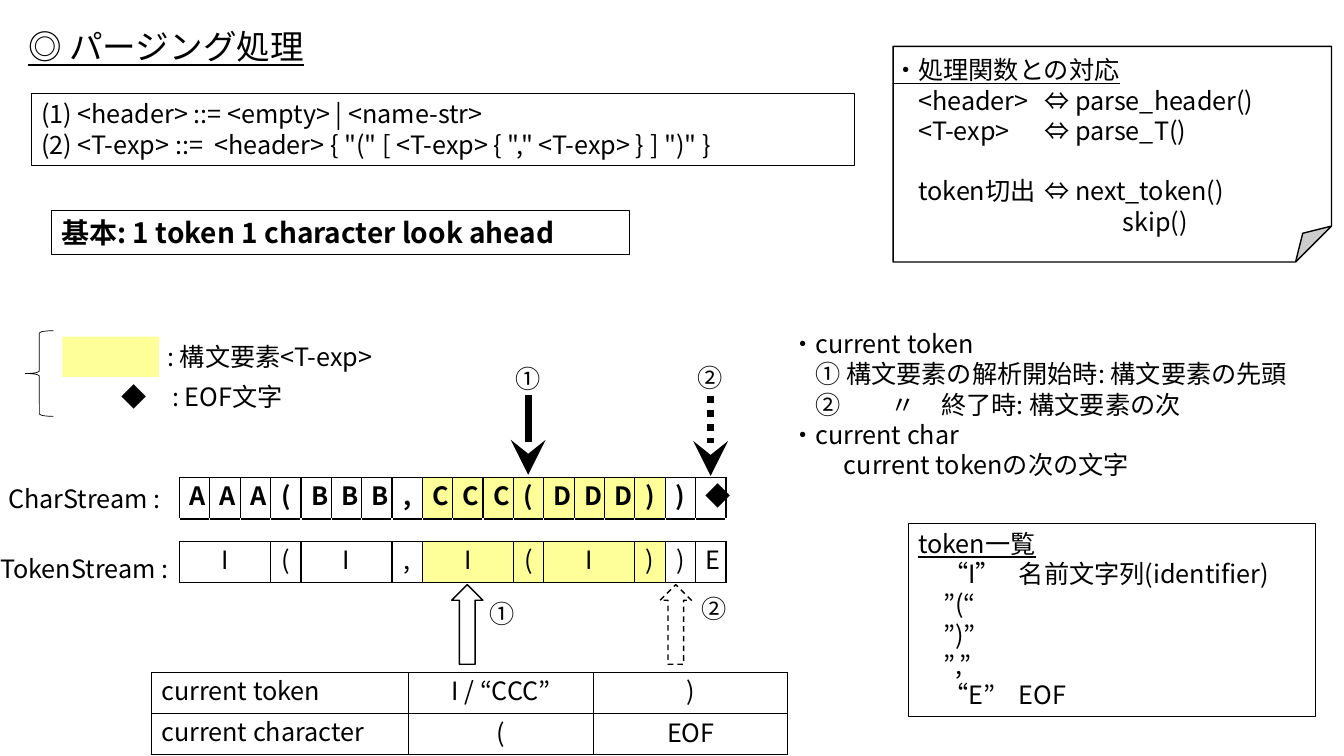
import lxml.etree
import pptx
import pptx.dml.color
import pptx.enum.dml
import pptx.enum.shapes
import pptx.enum.text
import pptx.oxml.ns
import pptx.util

Pt = pptx.util.Pt
qn = pptx.oxml.ns.qn
SHAPE = pptx.enum.shapes.MSO_SHAPE
DASH = pptx.enum.dml.MSO_LINE
ALIGN = pptx.enum.text.PP_ALIGN
ANCHOR = pptx.enum.text.MSO_ANCHOR

FONT = "Noto Sans CJK JP"
COLORS = {"ink": "000000", "paper": "FFFFFF", "t_exp": "FFFF99"}
CELL_W, ROW_H, GAP_H = 21.7, 29.5, 16
CHARS = "AAA(BBB,CCC(DDD))◆"
TOKENS = [("I", 3), ("(", 1), ("I", 3), (",", 1), ("I", 3), ("(", 1),
          ("I", 3), (")", 1), (")", 1), ("E", 1)]
T_EXP = range(8, 16)


def rgb(name):
    """Return the named palette colour."""
    return pptx.dml.color.RGBColor.from_string(COLORS[name])


def sub(parent, tag, **attrs):
    """Append a DrawingML child element."""
    return lxml.etree.SubElement(parent, qn(tag), attrs)


def write(tf, lines, size=18, bold=False, underline=False, align=ALIGN.LEFT,
          anchor=ANCHOR.TOP, tabs=(), indent=0, before=0):
    """Fill a text frame; a line is a string or a (string, overrides) pair."""
    tf.word_wrap = True
    tf.vertical_anchor = anchor
    for i, line in enumerate(lines):
        text, own = (line, {}) if isinstance(line, str) else line
        p = tf.paragraphs[0] if i == 0 else tf.add_paragraph()
        p.alignment = align
        p.line_spacing = Pt(size * 1.2)
        p.space_before = Pt(own.get("before", before))
        pPr = p._p.get_or_add_pPr()
        pPr.set("marL", str(Pt(own.get("indent", indent))))
        pPr.set("indent", "0")
        stops = own.get("tabs", tabs)
        if stops:
            tab_list = sub(pPr, "a:tabLst")
            for stop in stops:
                sub(tab_list, "a:tab", pos=str(Pt(stop)), algn="l")
        r = p.add_run()
        r.text = text
        r.font.size = Pt(size)
        r.font.name = FONT
        r.font.bold = bold
        r.font.underline = own.get("underline", underline)
        r.font.color.rgb = rgb("ink")
        sub(r._r.get_or_add_rPr(), "a:ea", typeface=FONT)


def add_text(s, box, *lines, **fmt):
    """Add a plain text box."""
    sp = s.shapes.add_textbox(*map(Pt, box))
    write(sp.text_frame, lines, **fmt)


def add_box(s, kind, box, *lines, fill=None, line=0.75, dash=None, **fmt):
    """Add a preset shape, with text if any is given."""
    sp = s.shapes.add_shape(kind, *map(Pt, box))
    sp.shadow.inherit = False
    if fill:
        sp.fill.solid()
        sp.fill.fore_color.rgb = rgb(fill)
    else:
        sp.fill.background()
    if line:
        sp.line.color.rgb = rgb("ink")
        sp.line.width = Pt(line)
        if dash:
            sp.line.dash_style = dash
    else:
        sp.line.fill.background()
    if lines:
        write(sp.text_frame, lines, **fmt)
    return sp


def add_pointer(s, x, top, length, dash=None):
    """Add a thick arrow pointing down."""
    cn = s.shapes.add_connector(pptx.enum.shapes.MSO_CONNECTOR.STRAIGHT,
                                Pt(x), Pt(top), Pt(x), Pt(top + length))
    cn.line.color.rgb = rgb("ink")
    cn.line.width = Pt(5)
    if dash:
        cn.line.dash_style = dash
    sub(cn.line._get_or_add_ln(), "a:tailEnd", type="stealth", w="lg", len="lg")
    sub(cn._element.spPr, "a:effectLst")


def add_grid(s, left, top, widths, heights):
    """Add an unstyled table with the given column widths and row heights."""
    frame = s.shapes.add_table(len(heights), len(widths), Pt(left), Pt(top),
                               Pt(sum(widths)), Pt(sum(heights)))
    table = frame.table
    table.first_row = table.horz_banding = False
    for col, width in zip(table.columns, widths):
        col.width = Pt(width)
    for row, height in zip(table.rows, heights):
        row.height = Pt(height)
    return table


def format_cell(cell, fill="paper", sides="LRTB"):
    """Fill a cell and rule the given sides."""
    cell.fill.solid()
    cell.fill.fore_color.rgb = rgb(fill)
    tcPr = cell._tc.get_or_add_tcPr()
    for i, side in enumerate(sides):
        ln = sub(tcPr, "a:ln" + side, w=str(Pt(1)))
        sub(sub(ln, "a:solidFill"), "a:srgbClr", val=COLORS["ink"])
        tcPr.insert(i, ln)


def add_streams(s):
    """Add the character row and, below a gap, the token row."""
    table = add_grid(s, 128.2, 341.3, [CELL_W] * len(CHARS),
                     [ROW_H, GAP_H, ROW_H])
    for col, char in enumerate(CHARS):
        fill = "t_exp" if col in T_EXP else "paper"
        cell = table.cell(0, col)
        write(cell.text_frame, [char], bold=True, align=ALIGN.CENTER)
        format_cell(cell, fill)
        gap = table.cell(1, col)
        gap.margin_top = gap.margin_bottom = 0
        sub(gap.text_frame.paragraphs[0]._p, "a:endParaRPr", sz="100")
        format_cell(gap, sides="TB")
    col = 0
    for token, span in TOKENS:
        cell = table.cell(2, col)
        if span > 1:
            cell.merge(table.cell(2, col + span - 1))
        write(cell.text_frame, [token], align=ALIGN.CENTER)
        format_cell(cell, "t_exp" if col in T_EXP else "paper")
        col += span


def add_state(s):
    """Add the table of current token and character."""
    rows = [("current token", "I / “CCC”", ")"),
            ("current character", "(", "EOF")]
    table = add_grid(s, 108, 480.2, [183.6, 132.5, 138.7], [ROW_H] * 2)
    for i, row in enumerate(rows):
        for j, text in enumerate(row):
            cell = table.cell(i, j)
            write(cell.text_frame, [text],
                  align=ALIGN.CENTER if j else ALIGN.LEFT)
            if j:
                cell.vertical_anchor = ANCHOR.MIDDLE
            format_cell(cell)


def main():
    """Build the slide and save it."""
    prs = pptx.Presentation()
    prs.slide_width, prs.slide_height = Pt(960), Pt(540)
    s = prs.slides.add_slide(prs.slide_layouts[5])
    title = s.shapes.title
    title.left, title.top, title.width, title.height = map(
        Pt, (13, 15.1, 492.5, 36))
    title.text_frame.auto_size = pptx.enum.text.MSO_AUTO_SIZE.NONE
    write(title.text_frame, ["◎ パージング処理"], size=24, underline=True)

    add_box(s, SHAPE.RECTANGLE, (22.3, 67, 588.2, 51.1),
            "(1) <header> ::= <empty> | <name-str>",
            '(2) <T-exp> ::=  <header> { "(" [ <T-exp> { "," <T-exp> } ] ")" }')
    add_box(s, SHAPE.RECTANGLE, (36.7, 150.5, 413.3, 31.7),
            "基本: 1 token 1 character look ahead", size=20, bold=True)

    for x, dash in ((322.6, None), (471.6, DASH.DASH)):
        add_box(s, SHAPE.UP_ARROW, (x, 417.6, 22.3, 56.9),
                fill="paper", line=1, dash=dash)
    add_pointer(s, 377.3, 282.2, 56.9)
    add_pointer(s, 507.6, 283, 56.9, DASH.ROUND_DOT)
    for mark, x, y in (("①", 342.7, 424.1), ("②", 493.9, 420.5),
                       ("②", 491, 255.6), ("①", 361.4, 256.3)):
        add_text(s, (x, y, 65.5, 28.8), mark)

    add_text(s, (557.3, 231.1, 398.2, 116.6),
             "・current token",
             "　① 構文要素の解析開始時: 構文要素の先頭",
             ("　②\t〃\t終了時: 構文要素の次", {"tabs": (72, 165.5)}),
             "・current char",
             ("current tokenの次の文字", {"indent": 38.5}))

    add_box(s, SHAPE.RECTANGLE, (44.6, 240.5, 69.1, 28.8),
            fill="t_exp", line=0)
    add_text(s, (112.3, 240.5, 217.4, 28.8), ": 構文要素<T-exp>")
    add_text(s, (79.9, 268.6, 160, 28.8), "◆\t: EOF文字", tabs=(28.5,))
    add_box(s, SHAPE.LEFT_BRACE, (18, 236.2, 20.2, 61.2), line=0.5)

    add_box(s, SHAPE.RECTANGLE, (648.7, 373.7, 290.9, 138.2),
            ("token一覧", {"underline": True}),
            "　“I”\t名前文字列(identifier)",
            "　”(“", "　”)”", "　”,”", "　“E”\tEOF")
    note = add_box(s, SHAPE.FOLDED_CORNER, (637.9, 33.1, 313.2, 154.1),
                   ("・処理関数との対応", {"underline": True}),
                   "　<header>\t⇔ parse_header()",
                   "　<T-exp>\t⇔ parse_T()",
                   ("　token切出\t⇔ next_token()", {"before": 21.6}),
                   ("skip()", {"indent": 164}), fill="paper", line=1)
    tf = note.text_frame
    tf.margin_left = tf.margin_right = tf.margin_bottom = 0
    tf.margin_top = Pt(6)

    for label, y in (("CharStream :", 341.3), ("TokenStream :", 391.7)):
        add_text(s, (-15.1, y, 150.5, 28.8), label,
                 align=ALIGN.CENTER, anchor=ANCHOR.MIDDLE)
    add_streams(s)
    add_state(s)
    prs.save("out.pptx")


main()
